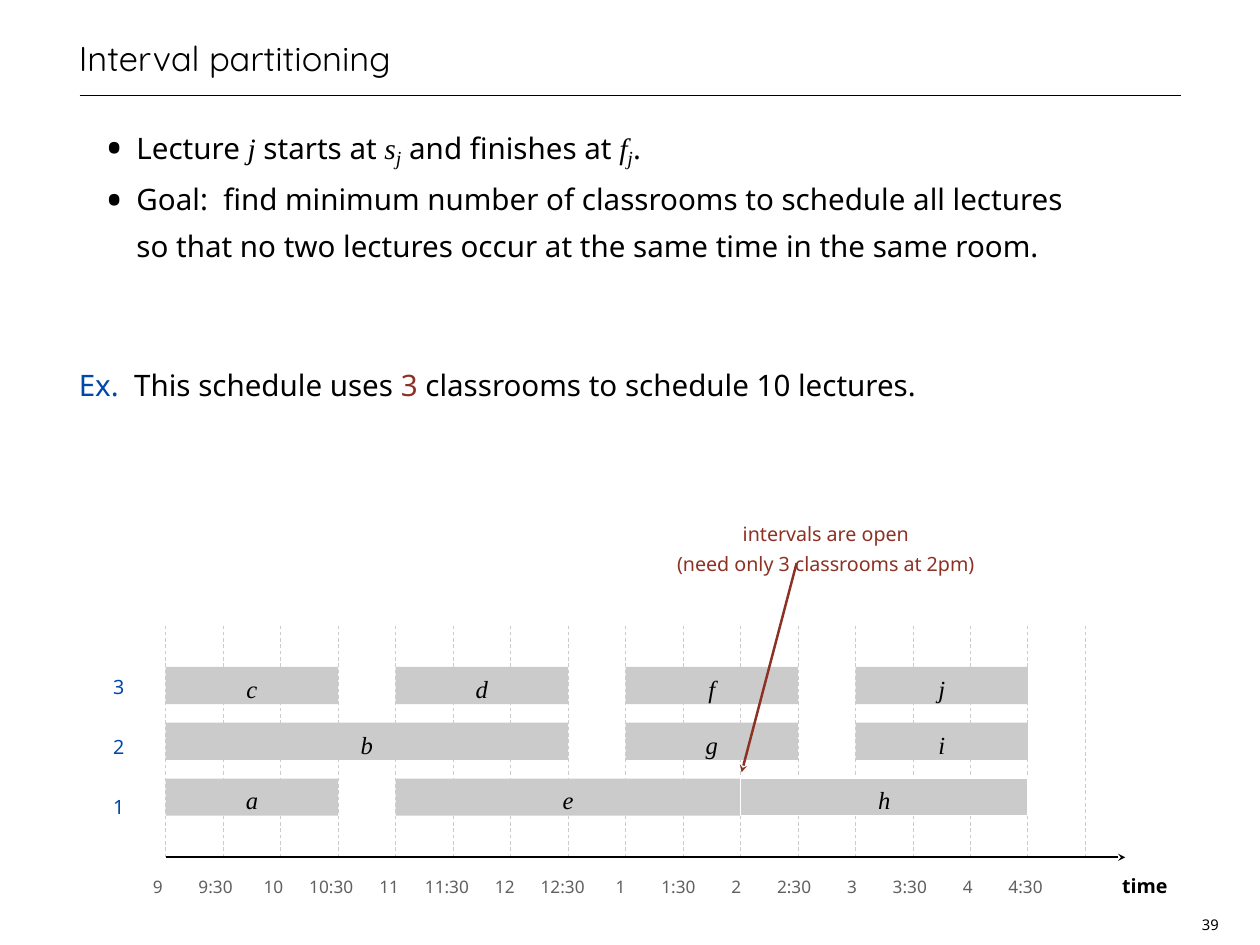
import pptx
import pptx.util
import pptx.dml.color
import pptx.enum.dml
import pptx.enum.shapes
import pptx.enum.text
import pptx.oxml
import pptx.oxml.ns

WIDE, TALL = 14.22, 10.67
EDGE, SPAN = 0.89, 12.44
LEFT, STEP = 1.87, 10.38 / 16
TOP, ROW, HIGH = 7.53, 0.63, 0.42
BASE = 9.68
BLACK, GREY, BLUE, RED = "000000", "CBCBCB", "0048AA", "8D3124"
SANS, SERIF = "Noto Sans", "Times New Roman"
ALIGN = pptx.enum.text.PP_ALIGN
ANCHOR = pptx.enum.text.MSO_ANCHOR

BODY = {"size": 24, "name": SANS, "color": BLACK}
MATH = {"size": 24, "name": SERIF, "italic": True, "color": BLACK}
SUB = MATH | {"size": 28, "base": -20000}
NAME = MATH | {"size": 20}
NOTE = {"size": 16, "name": SANS, "color": RED}
HOUR = {"size": 14, "name": SANS, "color": "606060"}

BARS = [
    [("c", 0, 3), ("d", 4, 7), ("f", 8, 11), ("j", 12, 15)],
    [("b", 0, 7), ("g", 8, 11), ("i", 12, 15)],
    [("a", 0, 3), ("e", 4, 10), ("h", 10, 15)],
]
TIMES = ["9", "9:30", "10", "10:30", "11", "11:30", "12", "12:30",
         "1", "1:30", "2", "2:30", "3", "3:30", "4", "4:30"]
GOALS = [
    [("Lecture ", BODY), ("j", MATH), (" starts at ", BODY), ("s", MATH),
     ("j", SUB), (" and finishes at ", BODY), ("f", MATH), ("j", SUB),
     (".", BODY)],
    [("Goal:  find minimum number of classrooms to schedule all lectures", BODY),
     ("\n", BODY),
     ("so that no two lectures occur at the same time in the same room.", BODY)],
]
CASE = [("Ex.  ", BODY | {"color": BLUE}), ("This schedule uses ", BODY),
        ("3", BODY | {"color": RED}),
        (" classrooms to schedule 10 lectures.", BODY)]


def inch(num):
    """Turn inches into slide units."""
    return pptx.util.Inches(num)


def rgb(code):
    """Turn a hex string into a colour."""
    return pptx.dml.color.RGBColor.from_string(code)


def col(slot):
    """Give the left edge of a half-hour slot."""
    return LEFT + slot * STEP


def write(frame, paras, lead, align, inset=0):
    """Fill a text frame with paragraphs of styled runs."""
    for side in ("left", "right", "top", "bottom"):
        setattr(frame, "margin_" + side, inch(inset))
    for num, runs in enumerate(paras):
        para = frame.add_paragraph() if num else frame.paragraphs[0]
        para.alignment, para.line_spacing = align, lead
        for text, style in runs:
            if text == "\n":
                para.add_line_break()
                continue
            run = para.add_run()
            run.text = text
            for key, val in style.items():
                if key == "color":
                    run.font.color.rgb = rgb(val)
                elif key == "base":
                    run._r.get_or_add_rPr().set("baseline", str(val))
                else:
                    setattr(run.font, key, pptx.util.Pt(val) if key == "size" else val)


def block(slide, top, high, paras, anchor=ANCHOR.TOP):
    """Add a left-aligned text box as wide as the page body."""
    box = slide.shapes.add_textbox(inch(EDGE), inch(top), inch(SPAN), inch(high))
    box.text_frame.word_wrap = True
    box.text_frame.vertical_anchor = anchor
    write(box.text_frame, paras, pptx.util.Pt(38), ALIGN.LEFT)
    return box


def label(slide, mid, top, lines, style, wide=0.6, lead=1.3, inset=0):
    """Add a text box centred on a given place."""
    high = 0.3 * len(lines)
    box = slide.shapes.add_textbox(inch(mid - wide / 2), inch(top), inch(wide), inch(high))
    box.text_frame.word_wrap = False
    write(box.text_frame, [[(text, style)] for text in lines], lead, ALIGN.CENTER, inset)


def dot(para):
    """Give a paragraph a hanging bullet."""
    prop = para._p.get_or_add_pPr()
    prop.set("marL", str(inch(0.65)))
    prop.set("indent", str(inch(-0.35)))
    space = pptx.oxml.ns.nsdecls("a")
    for part in ('buSzPct %s val="160000"', 'buFont %s typeface="Noto Sans"',
                 'buChar %s char="•"'):
        prop.append(pptx.oxml.parse_xml("<a:" + part % space + "/>"))


def line(slide, start, end, color, width, dash=False, tip=False):
    """Add a straight line, dashed or with an arrowhead at its end."""
    kind = pptx.enum.shapes.MSO_CONNECTOR.STRAIGHT
    link = slide.shapes.add_connector(kind, *map(inch, start + end))
    link.line.color.rgb, link.line.width = rgb(color), pptx.util.Pt(width)
    if dash:
        link.line.dash_style = pptx.enum.dml.MSO_LINE.DASH
    space = pptx.oxml.ns.nsdecls("a")
    if tip:
        link.line._get_or_add_ln().append(
            pptx.oxml.parse_xml("<a:tailEnd %s type='stealth'/>" % space))
    link._element.spPr.append(pptx.oxml.parse_xml("<a:effectLst %s/>" % space))


def bar(slide, row, name, start, end):
    """Add one lecture across its slots."""
    kind = pptx.enum.shapes.MSO_SHAPE.RECTANGLE
    box = slide.shapes.add_shape(kind, inch(col(start)), inch(TOP + row * ROW),
                                 inch((end - start) * STEP), inch(HIGH))
    box.shadow.inherit = False
    box.fill.solid()
    box.fill.fore_color.rgb = rgb(GREY)
    if name == "h":
        box.line.color.rgb, box.line.width = rgb("FFFFFF"), pptx.util.Pt(0.75)
    else:
        box.line.fill.background()
    box.text_frame.vertical_anchor = ANCHOR.MIDDLE
    write(box.text_frame, [[(name, NAME)]], 1.2, ALIGN.CENTER)


def chart(slide):
    """Draw the schedule with its grid, rooms and hours."""
    for slot in range(17):
        line(slide, (col(slot), BASE), (col(slot), 7.07), GREY, 0.75, dash=True)
    for row, bars in enumerate(BARS):
        label(slide, 1.34, 7.54 + row * 0.68, [str(3 - row)], NOTE | {"color": BLUE})
        for item in bars:
            bar(slide, row, *item)
    line(slide, (LEFT, BASE), (12.7, BASE), BLACK, 1.5, tip=True)
    for num, text in enumerate(TIMES):
        label(slide, 1.78 + num * 0.653, 9.82, [text], HOUR)
    label(slide, 12.92, 9.79, ["time"], NOTE | {"color": BLACK, "bold": True})


def main():
    """Build the slide and save it."""
    deck = pptx.Presentation()
    deck.slide_width, deck.slide_height = inch(WIDE), inch(TALL)
    slide = deck.slides.add_slide(deck.slide_layouts[6])
    line(slide, (0.9, 1.08), (13.33, 1.08), BLACK, 1)
    head = {"size": 28, "name": "Quicksand", "color": BLACK}
    block(slide, 0, EDGE, [[("Interval partitioning", head)]], ANCHOR.BOTTOM)
    goals = block(slide, 1.39, 1.6, GOALS)
    for para in goals.text_frame.paragraphs:
        dot(para)
    block(slide, 4.02, 0.53, [CASE])
    chart(slide)
    label(slide, 9.32, 5.81, ["intervals are open", "(need only 3 classrooms at 2pm)"],
          NOTE, wide=3.55)
    line(slide, (8.99, 6.36), (8.37, 8.72), RED, 2, tip=True)
    label(slide, 13.66, 10.3, ["39"], BODY | {"size": 12}, wide=0.31,
          lead=pptx.util.Pt(14), inset=0.04)
    deck.save("out.pptx")


if __name__ == "__main__":
    main()
